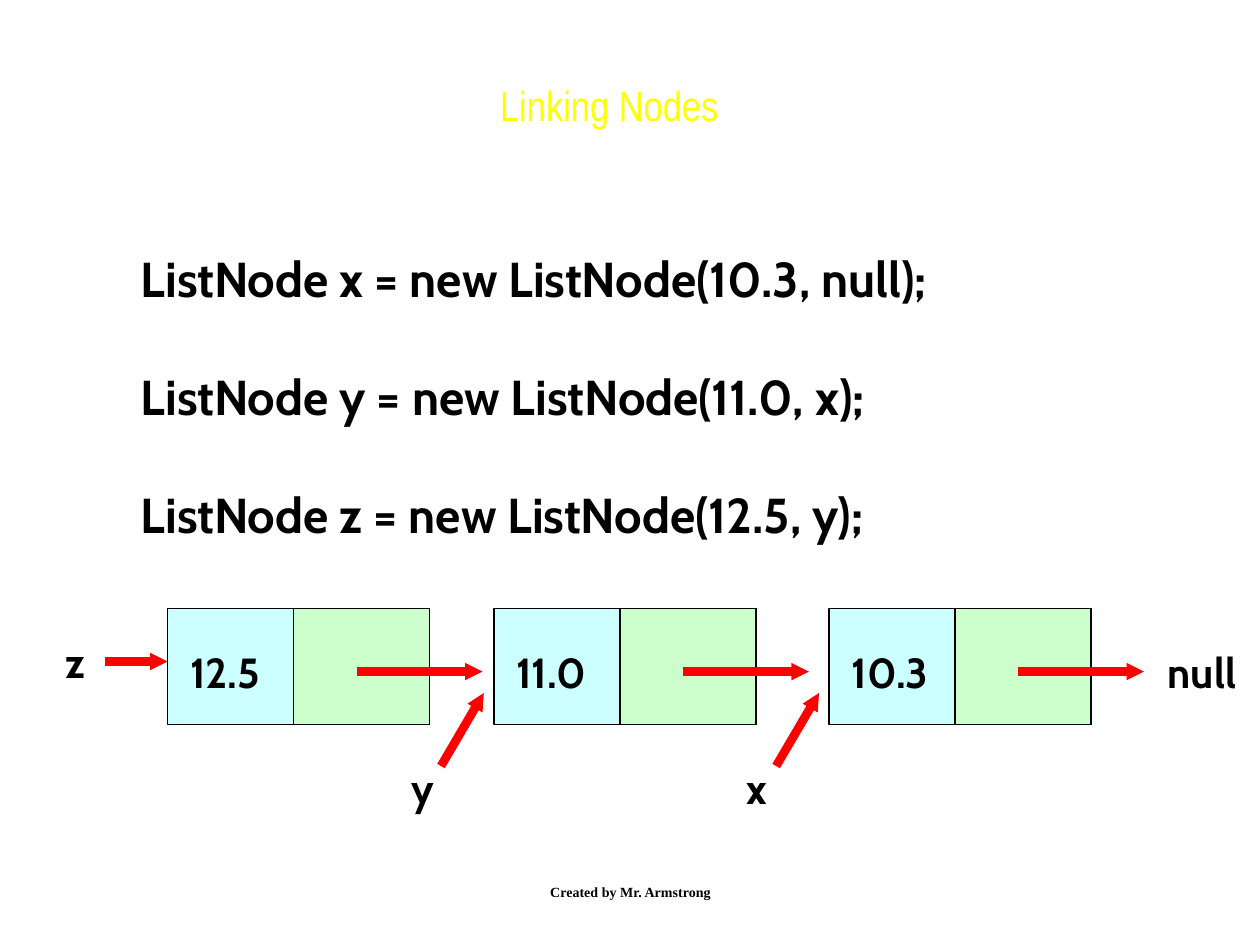
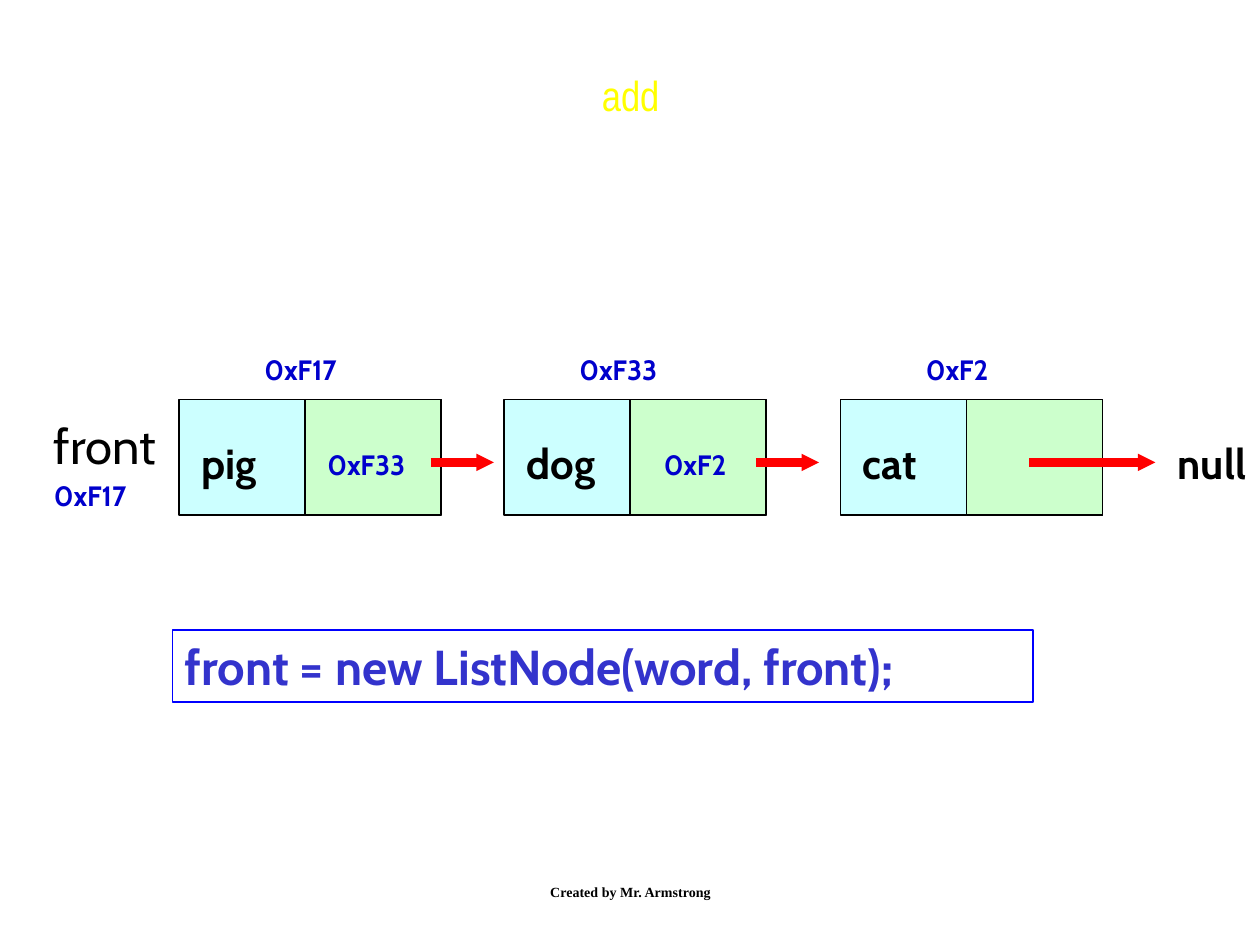
from dataclasses import dataclass

from lxml.etree import SubElement
from pptx import Presentation
from pptx.dml.color import RGBColor
from pptx.enum.shapes import MSO_CONNECTOR as Connector, MSO_SHAPE as Shape
from pptx.enum.text import MSO_ANCHOR as Anchor, MSO_AUTO_SIZE as AutoSize, PP_ALIGN as Align
from pptx.oxml.ns import qn
from pptx.util import Inches, Pt


@dataclass(frozen=True)
class TextStyle:
    """Font settings of one kind of text."""
    size: float
    color: str = "000000"
    bold: bool = True
    font: str = "Cabin"


@dataclass(frozen=True)
class Theme:
    """Colours and type styles shared by the slides."""
    value_fill: str = "CCFFFF"
    pointer_fill: str = "CCFFCC"
    outline: str = "000000"
    arrow: str = "FF0000"
    frame: str = "0000FF"
    title: TextStyle = TextStyle(24, "FFFF00", False, "Arial Narrow")
    code: TextStyle = TextStyle(28)
    framed_code: TextStyle = TextStyle(28, "3333CC")
    variable: TextStyle = TextStyle(28, bold=False)
    label: TextStyle = TextStyle(24)
    address: TextStyle = TextStyle(16, "0000CC")
    footer: TextStyle = TextStyle(8, font="Times New Roman")


THEME = Theme()
NODE_WIDTH, NODE_HEIGHT, VALUE_WIDTH = 2.08, 0.92, 1
ARROW_DROP, ARROW_END = 0.5, 2.5


def add_run(paragraph, text, style):
    """Append a styled run to a paragraph."""
    run = paragraph.add_run()
    run.text = text
    run.font.name = style.font
    run.font.size = Pt(style.size)
    run.font.bold = style.bold
    run.font.color.rgb = RGBColor.from_string(style.color)


def write_lines(frame, lines, style, align=Align.LEFT, anchor=Anchor.TOP, gap=0):
    """Fill a text frame with one paragraph per line."""
    frame.vertical_anchor = anchor
    for index, line in enumerate(lines):
        paragraph = frame.add_paragraph() if index else frame.paragraphs[0]
        paragraph.alignment = align
        paragraph.space_before = Pt(gap if index else 0)
        add_run(paragraph, line, style)


def add_text(slide, lines, style, left, top, width, height, **layout):
    """Place a wrapping text box."""
    frame = slide.shapes.add_textbox(
        Inches(left), Inches(top), Inches(width), Inches(height)).text_frame
    frame.word_wrap = True
    write_lines(frame, lines, style, **layout)


def add_label(slide, text, left, top, width=0.92):
    """Place a bold diagram label."""
    add_text(slide, [text], THEME.label, left, top, width, 0.5)


def add_address(slide, text, left, top):
    """Place a memory address."""
    add_text(slide, [text], THEME.address, left, top, 1.08, 0.37)


def add_box(slide, left, top, width, height, line, fill=None):
    """Draw a thin-lined rectangle, empty unless a fill is given."""
    box = slide.shapes.add_shape(
        Shape.RECTANGLE, Inches(left), Inches(top), Inches(width), Inches(height))
    box.shadow.inherit = False
    if fill:
        box.fill.solid()
        box.fill.fore_color.rgb = RGBColor.from_string(fill)
    else:
        box.fill.background()
    box.line.color.rgb = RGBColor.from_string(line)
    box.line.width = Pt(1)
    return box


def add_arrow(slide, start, end):
    """Draw a thick arrow between two points."""
    arrow = slide.shapes.add_connector(
        Connector.STRAIGHT, *(Inches(value) for value in (*start, *end)))
    arrow.line.color.rgb = RGBColor.from_string(THEME.arrow)
    arrow.line.width = Pt(5)
    SubElement(arrow.line._get_or_add_ln(), qn("a:tailEnd"), type="triangle", w="sm", len="sm")
    SubElement(arrow._element.spPr, qn("a:effectLst"))


def add_node(slide, left, top, value, arrow_start=1.5):
    """Draw a list node: value cell, pointer cell and outgoing arrow."""
    add_box(slide, left, top, NODE_WIDTH, NODE_HEIGHT, THEME.outline, THEME.value_fill)
    add_box(slide, left + VALUE_WIDTH, top, NODE_WIDTH - VALUE_WIDTH, NODE_HEIGHT,
            THEME.outline, THEME.pointer_fill)
    arrow_y = top + ARROW_DROP
    add_arrow(slide, (left + arrow_start, arrow_y), (left + ARROW_END, arrow_y))
    add_label(slide, value, left + 0.08, top + 0.25)


def start_slide(deck, title, left, top, width, height):
    """Add a slide with its title and the shared footer."""
    slide = deck.slides.add_slide(deck.slide_layouts[5])
    heading = slide.shapes.title
    heading.left, heading.top = Inches(left), Inches(top)
    heading.width, heading.height = Inches(width), Inches(height)
    write_lines(heading.text_frame, [title], THEME.title, Align.CENTER)
    add_text(slide, ["Created by Mr. Armstrong"], THEME.footer, 3.42, 6.83, 3.17, 0.5,
             align=Align.CENTER, anchor=Anchor.MIDDLE)
    return slide


def build_linking_nodes(deck):
    """Build the slide that links three nodes."""
    slide = start_slide(deck, "Linking Nodes", 0.92, 0.58, 7.83, 0.92)
    statements = [
        f"ListNode {name} = new ListNode({arguments});"
        for name, arguments in (("x", "10.3, null"), ("y", "11.0, x"), ("z", "12.5, y"))]
    add_text(slide, statements, THEME.code, 1.02, 1.92, 7.44, 2.44, gap=34)
    for left, value in ((1.33, "12.5"), (3.92, "11.0"), (6.58, "10.3")):
        add_node(slide, left, 4.83, value)
    add_label(slide, "null", 9.17, 5.08, 1.08)
    add_label(slide, "z", 0.42, 5)
    add_arrow(slide, (0.83, 5.25), (1.33, 5.25))
    for name, left in (("y", 3.17), ("x", 5.83)):
        add_label(slide, name, left, 6)
        add_arrow(slide, (left + 0.33, 6.08), (left + 0.67, 5.5))


def build_add(deck):
    """Build the slide that adds a node at the front."""
    slide = start_slide(deck, "add", 1.42, 0.5, 7.17, 1.17)
    for left, value, arrow_start in ((1.42, "pig", 2), (4, "dog", 2), (6.67, "cat", 1.5)):
        add_node(slide, left, 3.17, value, arrow_start)
    add_label(slide, "null", 9.25, 3.42, 1.08)
    for address, left in (("0xF17", 2), ("0xF33", 4.5), ("0xF2", 7.25)):
        add_address(slide, address, left, 2.75)
    for address, left in (("0xF33", 2.5), ("0xF2", 5.17)):
        add_address(slide, address, left, 3.5)
    add_text(slide, ["front"], THEME.variable, 0.33, 3.25, 1.08, 0.57)
    add_address(slide, "0xF17", 0.33, 3.75)
    statement = add_box(slide, 1.37, 5, 6.83, 0.57, THEME.frame).text_frame
    statement.word_wrap = True
    statement.auto_size = AutoSize.NONE
    write_lines(statement, ["front = new ListNode(word, front);"], THEME.framed_code)


def main():
    """Build and save the deck."""
    deck = Presentation()
    deck.slide_width, deck.slide_height = Inches(10), Inches(7.5)
    build_linking_nodes(deck)
    build_add(deck)
    deck.save("out.pptx")


if __name__ == "__main__":
    main()
